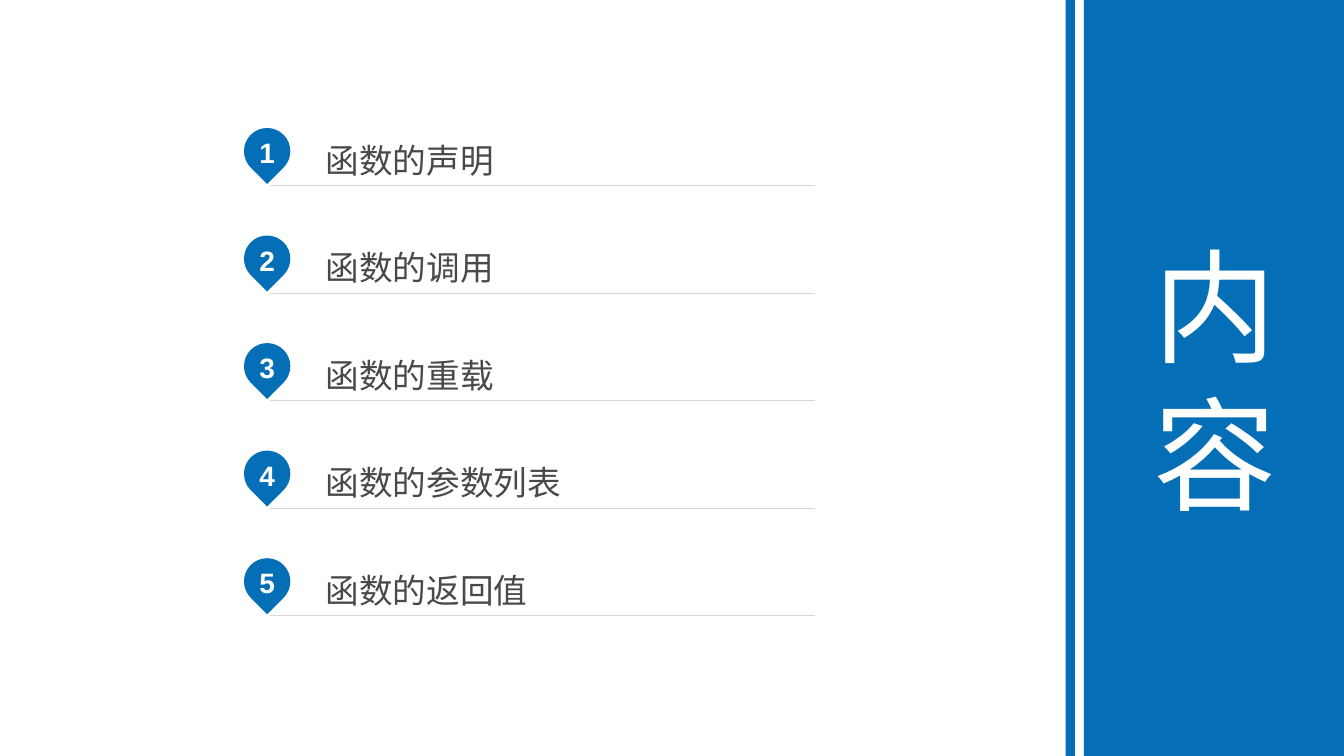
from math import cos, pi, sin, sqrt, tan
from typing import NamedTuple

from lxml import etree
from pptx import Presentation
from pptx.dml.color import RGBColor
from pptx.enum.shapes import MSO_SHAPE as Preset
from pptx.enum.text import MSO_ANCHOR as Anchor, PP_ALIGN as Align
from pptx.oxml.ns import qn
from pptx.util import Inches, Pt

BLUE, WHITE, GRAY, TEXT = "046FB6", "FFFFFF", "D7D7D7", "47494B"

# Layout of the contents list, in inches
FIRST_TOP, ROW_STEP, ROW_HEIGHT = 1.27, 1.067, 0.55
PIN_CENTER, PIN_RADIUS = 2.65, 0.23
ENTRY_LEFT, ENTRY_WIDTH, ENTRY_DROP = 2.68, 5.4, 0.02

# Corners of the pin's arc, in degrees clockwise from the right
ARC_STOPS = [135, 180, 270, 360, 405]


class Entry(NamedTuple):
    number: int
    title: str


class Bar(NamedTuple):
    left: float
    top: float
    width: float
    text: str


ENTRIES = [
    Entry(number, title)
    for number, title in enumerate(
        ["函数的声明", "函数的调用", "函数的重载", "函数的参数列表", "函数的返回值"], 1
    )
]
BARS = [Bar(10.75, 0, 2.6, "内容"), Bar(10.57, -0.02, 0.09, "")]


def color(value: str) -> RGBColor:
    return RGBColor.from_string(value)


def point(left: float, top: float) -> tuple:
    return Inches(left), Inches(top)


def paint(shape, fill: str) -> None:
    shape.shadow.inherit = False
    shape.fill.solid()
    shape.fill.fore_color.rgb = color(fill)
    shape.line.fill.background()


def write(shape, text: str, *, size: float, ink: str, bold: bool = False,
          align=Align.CENTER, spacing: float = 1.0,
          insets: tuple = (0.1, 0.05, 0.1, 0.05)) -> None:
    frame = shape.text_frame
    frame.word_wrap = True
    frame.vertical_anchor = Anchor.MIDDLE
    (frame.margin_left, frame.margin_top,
     frame.margin_right, frame.margin_bottom) = map(Inches, insets)
    para = frame.paragraphs[0]
    para.alignment = align
    para.line_spacing = spacing
    span = para.add_run()
    span.text = text
    span.font.name = "Arial"
    span.font.size = Pt(size)
    span.font.bold = bold
    span.font.color.rgb = color(ink)


def arc_points(middle: float) -> list:
    """Return the arc's start, then two handles and an end for each curve."""
    def place(angle: float, handle: float = 0) -> tuple:
        return point(
            PIN_CENTER + PIN_RADIUS * (cos(angle) - handle * sin(angle)),
            middle + PIN_RADIUS * (sin(angle) + handle * cos(angle)))

    stops = [pi * degrees / 180 for degrees in ARC_STOPS]
    points = [place(stops[0])]
    for start, end in zip(stops, stops[1:]):
        handle = 4 / 3 * tan((end - start) / 4)
        points += [place(start, handle), place(end, -handle), place(end)]
    return points


def bend(shape) -> None:
    """Join every three line ends after the first into one curve."""
    lines = list(shape._element.iter(qn("a:lnTo")))[1:]
    for first in range(0, len(lines), 3):
        curve = etree.Element(qn("a:cubicBezTo"))
        lines[first].addprevious(curve)
        for line in lines[first:first + 3]:
            curve.append(line[0])
            line.getparent().remove(line)


def draw_pin(page, number: int, top: float) -> None:
    middle = top + PIN_RADIUS
    tip = point(PIN_CENTER, middle + PIN_RADIUS * sqrt(2))
    builder = page.shapes.build_freeform(*tip)
    builder.add_line_segments(arc_points(middle), close=True)
    pin = builder.convert_to_shape()
    bend(pin)
    paint(pin, BLUE)
    write(pin, str(number), size=20, ink=WHITE, bold=True,
          insets=(0.1, 0.05, 0.1, 0.12))


def draw_title(page, title: str, top: float) -> None:
    # An underline, and a bare corner that gives the text its height
    corner = point(ENTRY_LEFT, top)
    start = point(ENTRY_LEFT, top + ROW_HEIGHT)
    end = point(ENTRY_LEFT + ENTRY_WIDTH, top + ROW_HEIGHT)
    builder = page.shapes.build_freeform(*start)
    builder.add_line_segments([end, start], close=True)
    builder.move_to(*corner)
    builder.add_line_segments([corner, corner], close=True)
    row = builder.convert_to_shape()
    row.shadow.inherit = False
    row.fill.background()
    row.line.color.rgb = color(GRAY)
    row.line.width = Pt(0.25)
    write(row, title, size=24, ink=TEXT, align=Align.LEFT, spacing=1.2,
          insets=(0.55, 0, 0, 0.04))


def draw_bar(page, bar: Bar) -> None:
    shape = page.shapes.add_shape(
        Preset.RECTANGLE, *point(bar.left, bar.top),
        Inches(bar.width), Inches(7.5 - bar.top))
    paint(shape, BLUE)
    if bar.text:
        write(shape, bar.text, size=88, ink=WHITE)


def main() -> None:
    deck = Presentation()
    deck.slide_width, deck.slide_height = Inches(13.33), Inches(7.5)
    page = deck.slides.add_slide(deck.slide_layouts[6])

    # Contents list
    for index, entry in enumerate(ENTRIES):
        top = FIRST_TOP + index * ROW_STEP
        draw_pin(page, entry.number, top)
        draw_title(page, entry.title, top + ENTRY_DROP)

    # Title band and its narrow stripe
    for bar in BARS:
        draw_bar(page, bar)

    deck.save("out.pptx")


if __name__ == "__main__":
    main()
